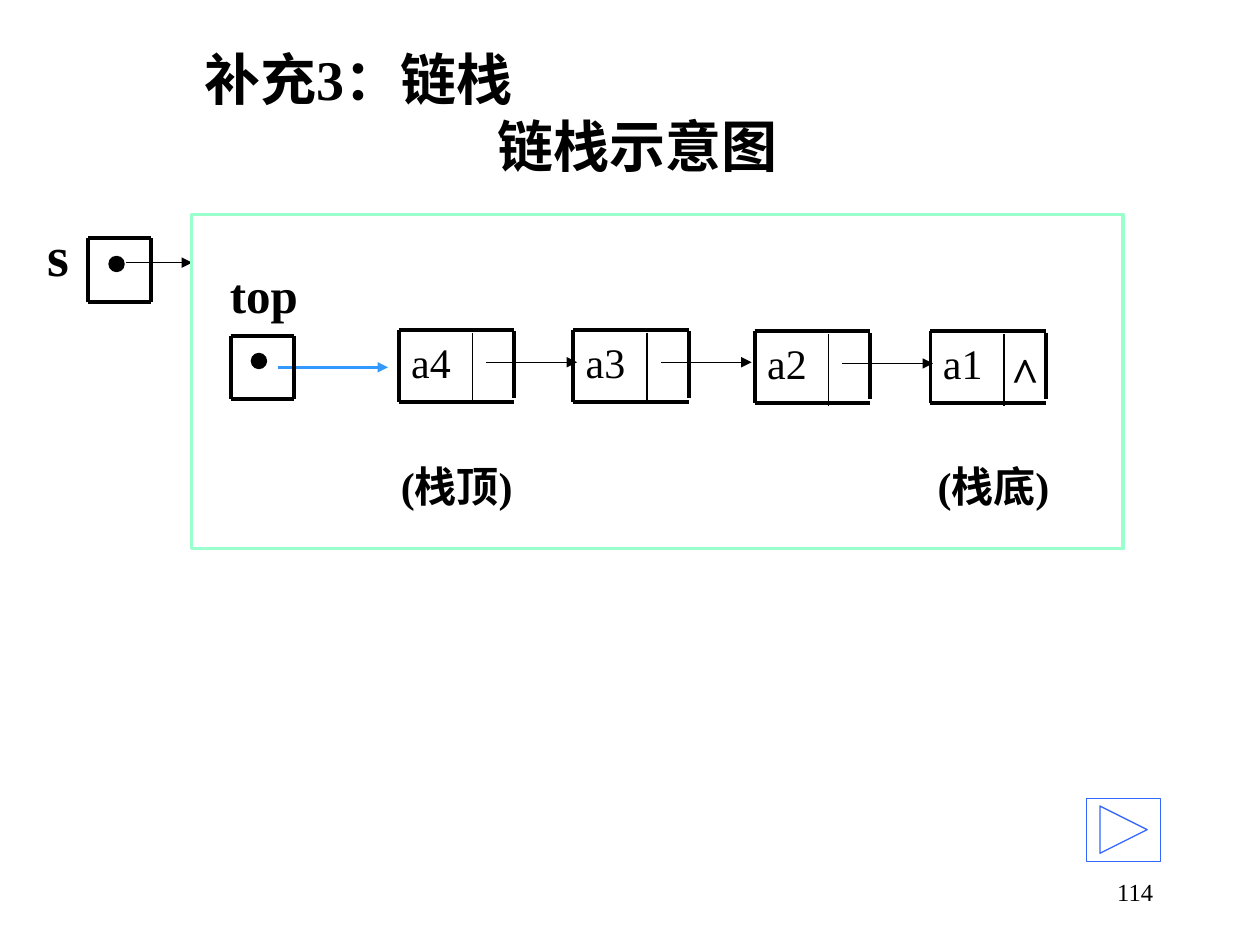
"""Build a slide that shows a linked stack."""
from dataclasses import dataclass

from lxml import etree
from pptx import Presentation
from pptx import util as u
from pptx.dml.color import RGBColor
from pptx.enum import shapes as kinds
from pptx.enum import text
from pptx.oxml.ns import qn

COLUMNS, ROWS = 100, 75
WIDTH, HEIGHT = u.Inches(10), u.Inches(7.5)


@dataclass(frozen=True)
class Theme:
    """Colours, font and sizes used on the slide."""
    font: str = "Times New Roman"
    ink: str = "000000"
    frame: str = "99FFCC"
    pointer: str = "3399FF"
    button: str = "3366FF"
    title: int = 32
    label: int = 28
    body: int = 24
    number: int = 14
    thin: float = 0.75
    divider: float = 1
    medium: float = 2
    thick: float = 2.25


THEME = Theme()


def across(columns):
    """Return the length of a number of grid columns."""
    return round(WIDTH * columns / COLUMNS)


def down(rows):
    """Return the length of a number of grid rows."""
    return round(HEIGHT * rows / ROWS)


def area(left, top, width, height):
    """Turn a grid area into slide lengths."""
    return across(left), down(top), across(width), down(height)


def style_paragraph(paragraph, size, bold, align):
    """Format one paragraph in the theme font."""
    paragraph.alignment = align
    font = paragraph.font
    font.name, font.size, font.bold = THEME.font, u.Pt(size), bold
    font.color.rgb = RGBColor.from_string(THEME.ink)


def add_label(shapes, words, box, size, bold=True, align=text.PP_ALIGN.CENTER,
              anchor=text.MSO_ANCHOR.MIDDLE):
    """Add a wrapped text box."""
    frame = shapes.add_textbox(*area(*box)).text_frame
    frame.word_wrap = True
    frame.vertical_anchor = anchor
    frame.text = words
    style_paragraph(frame.paragraphs[0], size, bold, align)


def add_outline(shapes, kind, box, color, width, filled=False):
    """Add a preset shape with a coloured line."""
    shape = shapes.add_shape(kind, *area(*box))
    shape.shadow.inherit = False
    shape.line.color.rgb = RGBColor.from_string(color)
    shape.line.width = u.Pt(width)
    if filled:
        shape.fill.solid()
        shape.fill.fore_color.rgb = RGBColor.from_string(color)
    else:
        shape.fill.background()


def add_line(shapes, start, end, width, color=THEME.ink, arrow=False):
    """Add a straight line, with an arrowhead when asked."""
    line = shapes.add_connector(
        kinds.MSO_CONNECTOR.STRAIGHT,
        across(start[0]), down(start[1]), across(end[0]), down(end[1]))
    line.line.color.rgb = RGBColor.from_string(color)
    line.line.width = u.Pt(width)
    if arrow:
        etree.SubElement(line.line._get_or_add_ln(), qn("a:tailEnd"), type="triangle")
    etree.SubElement(line._element.spPr, qn("a:effectLst"))


def add_cell(shapes, left, top, width, height, gap_above=0, gap_below=0):
    """Add a cell of four lines, whose right side may leave gaps."""
    right, bottom = left + width, top + height
    sides = (((left, top), (right, top)),
             ((left, bottom), (right, bottom)),
             ((left, top), (left, bottom)),
             ((right, top + gap_above), (right, bottom - gap_below)))
    for start, end in sides:
        add_line(shapes, start, end, THEME.thick)


def add_pointer(shapes, cell, dot):
    """Add a pointer cell with its dot."""
    add_cell(shapes, *cell)
    add_outline(shapes, kinds.MSO_SHAPE.OVAL, (*dot, 1.2, 1.2),
                THEME.ink, THEME.thin, filled=True)


def add_node(shapes, name, left, top, linked):
    """Add a list node, with an arrow to the next one when linked."""
    add_label(shapes, name, (left, top, 5.8, 5.7), THEME.body, False,
              text.PP_ALIGN.LEFT, text.MSO_ANCHOR.TOP)
    add_cell(shapes, left, top, 9.15, 5.7, gap_above=0.1, gap_below=0.3)
    add_line(shapes, (left + 5.85, top + 0.2), (left + 5.85, top + 5.9), THEME.divider)
    if linked:
        add_line(shapes, (left + 6.95, top + 2.55), (left + 14.15, top + 2.55),
                 THEME.thin, arrow=True)


def set_title(slide, lines, indent):
    """Fill the title, indenting its second line."""
    title = slide.shapes.title
    title.left, title.top, title.width, title.height = area(15.2, 3.95, 58.1, 9.8)
    frame = title.text_frame
    frame.auto_size = text.MSO_AUTO_SIZE.NONE
    frame.vertical_anchor = text.MSO_ANCHOR.MIDDLE
    frame.text = "\n".join(lines)
    for paragraph in frame.paragraphs:
        paragraph.space_before = u.Pt(0)
        style_paragraph(paragraph, THEME.title, True, text.PP_ALIGN.LEFT)
    frame.paragraphs[1]._p.get_or_add_pPr().set("marL", str(across(indent)))


def add_stack_pointer(shapes):
    """Add the pointer s that leads to the stack."""
    add_label(shapes, "s", (2.7, 17.05, 3.9, 6.3), THEME.title)
    add_line(shapes, (10, 20.85), (15.25, 20.85), THEME.thin, arrow=True)
    add_pointer(shapes, (7, 18.9, 5, 5.1), (8.65, 20.35))


def add_stack(shapes):
    """Add the framed stack with its nodes and captions."""
    for caption, left in (("(栈底)", 73.35), ("(栈顶)", 30.75)):
        add_label(shapes, caption, (left, 36.05, 11, 5), THEME.body)
    add_label(shapes, "top", (16.45, 20.5, 9, 5.7), THEME.label)
    add_outline(shapes, kinds.MSO_SHAPE.RECTANGLE, (15.2, 17.02, 73.95, 26.53),
                THEME.frame, THEME.medium)
    add_line(shapes, (22.05, 29.15), (30.8, 29.15), THEME.medium, THEME.pointer,
             arrow=True)
    add_pointer(shapes, (18.3, 26.65, 5, 5), (19.95, 28.05))
    nodes = (("a3", 45.5, 26.2), ("a2", 59.9, 26.3),
             ("a4", 31.65, 26.2), ("a1", 73.85, 26.3))
    for name, left, top in nodes:
        add_node(shapes, name, left, top, linked=name != "a1")
    add_label(shapes, "^", (78.85, 26.75, 5, 5.7), THEME.label)


def main():
    """Build and save the slide."""
    presentation = Presentation()
    presentation.slide_width, presentation.slide_height = WIDTH, HEIGHT
    slide = presentation.slides.add_slide(presentation.slide_layouts[5])
    add_label(slide.shapes, "114", (71.7, 68.25, 20.8, 5), THEME.number, False,
              text.PP_ALIGN.RIGHT)
    set_title(slide, ("补充3：链栈", "链栈示意图"), 23.3)
    add_stack_pointer(slide.shapes.add_group_shape().shapes)
    add_outline(slide.shapes, kinds.MSO_SHAPE.ACTION_BUTTON_FORWARD_OR_NEXT,
                (86.25, 63.35, 5.85, 5), THEME.button, THEME.thin)
    add_stack(slide.shapes.add_group_shape().shapes)
    presentation.save("out.pptx")


if __name__ == "__main__":
    main()
